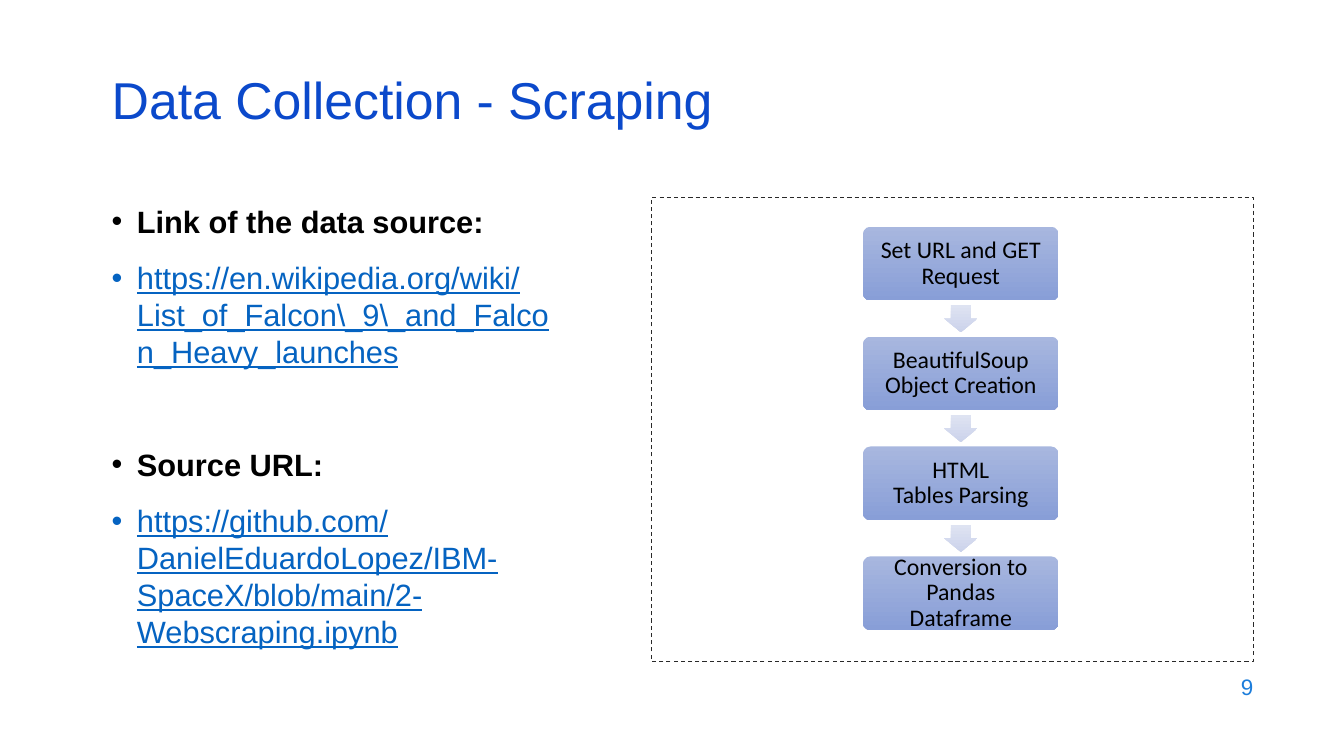
from dataclasses import dataclass

from lxml import etree
from pptx import Presentation
from pptx.dml.color import RGBColor
from pptx.enum.dml import MSO_LINE
from pptx.enum.shapes import MSO_SHAPE
from pptx.enum.text import MSO_ANCHOR, PP_ALIGN
from pptx.oxml.ns import qn
from pptx.util import Inches, Pt

RECT, ROUNDED, DOWN_ARROW = MSO_SHAPE.RECTANGLE, MSO_SHAPE.ROUNDED_RECTANGLE, MSO_SHAPE.DOWN_ARROW
TOP, MIDDLE = MSO_ANCHOR.TOP, MSO_ANCHOR.MIDDLE
LEFT, CENTER, RIGHT = PP_ALIGN.LEFT, PP_ALIGN.CENTER, PP_ALIGN.RIGHT
DASH = MSO_LINE.DASH
NBSP = chr(160)


@dataclass(frozen=True)
class Theme:
    font: str = "Arial"
    step_font: str = "Calibri"
    title: str = "0B49CB"
    number: str = "1C7DDB"
    text: str = "000000"
    link: str = "0563C1"
    frame: str = "292929"
    step_fill: tuple = ("A8B7DF", "889ED7")
    arrow_fill: tuple = ("DEE3F2", "CCD3EB")
    title_size: int = 37
    body_size: int = 22
    step_size: int = 17
    number_size: int = 16


THEME = Theme()

# Text, whether it is a link, and the space before in points
BODY = [
    ("Link of the data source:", False, 0),
    (r"https://en.wikipedia.org/wiki/List_of_Falcon\_9\_and_Falcon_Heavy_launches", True, 14),
    ("Source URL:", False, 54),
    ("https://github.com/DanielEduardoLopez/IBM-SpaceX/blob/main/2-Webscraping.ipynb", True, 14),
]
STEPS = [
    f"Set URL and{NBSP}GET Request",
    "BeautifulSoup Object Creation",
    f"HTML Tables{NBSP}Parsing",
    "Conversion to Pandas Dataframe",
]


def style_runs(p, font, size, color, bold=False, underline=False):
    for r in p.runs:
        r.font.name = font
        r.font.size = Pt(size)
        r.font.bold = bold
        r.font.underline = underline
        r.font.color.rgb = RGBColor.from_string(color)


def add_text_box(slide, box, anchor=TOP):
    tf = slide.shapes.add_textbox(*map(Inches, box)).text_frame
    tf.word_wrap = True
    tf.vertical_anchor = anchor
    return tf


def add_label(slide, box, text, size, color, align=LEFT, spacing=1.0):
    p = add_text_box(slide, box, MIDDLE).paragraphs[0]
    p.text = text
    p.alignment = align
    p.line_spacing = spacing
    style_runs(p, THEME.font, size, color)


def add_bullet(p):
    pPr = p._p.get_or_add_pPr()
    pPr.set("marL", str(Inches(0.25)))
    pPr.set("indent", str(-Inches(0.25)))
    etree.SubElement(pPr, qn("a:buFont")).set("typeface", THEME.font)
    etree.SubElement(pPr, qn("a:buChar")).set("char", "•")


def add_bullet_list(slide, box, items):
    tf = add_text_box(slide, box)
    for i, (text, is_link, before) in enumerate(items):
        p = tf.paragraphs[0] if i == 0 else tf.add_paragraph()
        p.text = text
        add_bullet(p)
        p.space_before = Pt(before)
        style_runs(p, THEME.font, THEME.body_size, THEME.link if is_link else THEME.text,
                   bold=not is_link, underline=is_link)


def add_frame(slide, box):
    sp = slide.shapes.add_shape(RECT, *map(Inches, box))
    sp.shadow.inherit = False
    sp.fill.background()
    sp.line.color.rgb = RGBColor.from_string(THEME.frame)
    sp.line.width = Pt(0.75)
    sp.line.dash_style = DASH


def add_gradient_shape(slide, kind, box, colors, adjustments):
    sp = slide.shapes.add_shape(kind, *map(Inches, box))
    sp.shadow.inherit = False
    sp.line.fill.background()
    sp.fill.gradient()
    sp.fill.gradient_angle = 270
    for stop, color in zip(sp.fill.gradient_stops, colors):
        stop.color.rgb = RGBColor.from_string(color)
    for i, value in enumerate(adjustments):
        sp.adjustments[i] = value
    return sp


def add_step(slide, box, text):
    sp = add_gradient_shape(slide, ROUNDED, box, THEME.step_fill, [0.1])
    tf = sp.text_frame
    tf.word_wrap = True
    tf.vertical_anchor = MIDDLE
    tf.margin_left = tf.margin_right = Inches(0.1)
    tf.margin_top = tf.margin_bottom = Inches(0.07)
    tf.text = text
    p = tf.paragraphs[0]
    p.alignment = CENTER
    p.line_spacing = 0.9
    style_runs(p, THEME.step_font, THEME.step_size, THEME.text)


def add_flow(slide, left, top, steps):
    width, height, pitch = 1.94, 0.73, 1.09
    arrow_w, arrow_h = 0.33, 0.27
    arrow_left = left + (width - arrow_w) / 2
    arrow_drop = (height + pitch - arrow_h) / 2
    for i, text in enumerate(steps):
        y = top + i * pitch
        add_step(slide, (left, y, width, height), text)
        if i < len(steps) - 1:
            add_gradient_shape(slide, DOWN_ARROW, (arrow_left, y + arrow_drop, arrow_w, arrow_h),
                               THEME.arrow_fill, [0.6, 0.5])


def main():
    prs = Presentation()
    prs.slide_width, prs.slide_height = Inches(13.33), Inches(7.5)
    slide = prs.slides.add_slide(prs.slide_layouts[6])

    # Title and page number
    add_label(slide, (1.01, 0.76, 11.5, 0.6), "Data Collection - Scraping",
              THEME.title_size, THEME.title, spacing=0.7)
    add_label(slide, (9.53, 6.59, 3, 0.44), "9", THEME.number_size, THEME.number, RIGHT)

    # Sources
    add_bullet_list(slide, (1.01, 1.96, 4.65, 4.17), BODY)

    # Scraping flow
    add_frame(slide, (6.46, 1.96, 5.97, 4.6))
    add_flow(slide, 8.56, 2.25, STEPS)

    prs.save("out.pptx")


if __name__ == "__main__":
    main()
